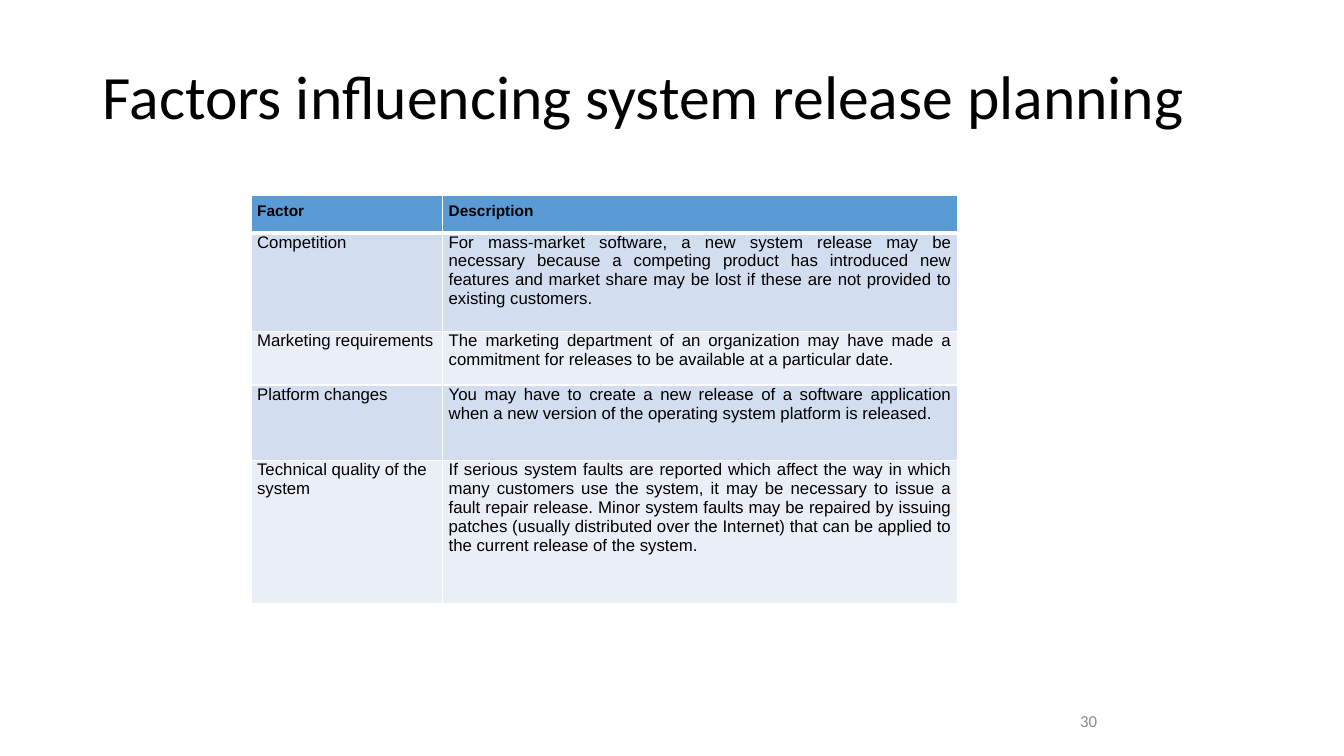
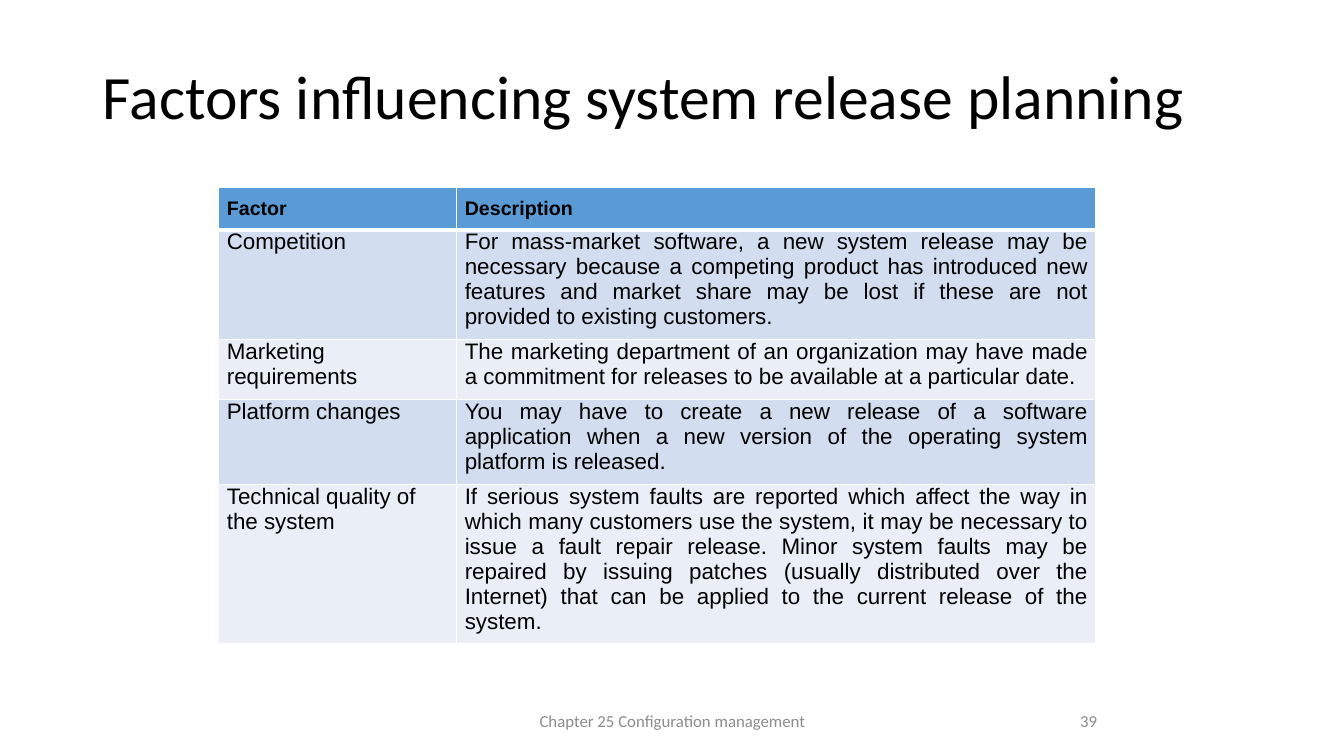
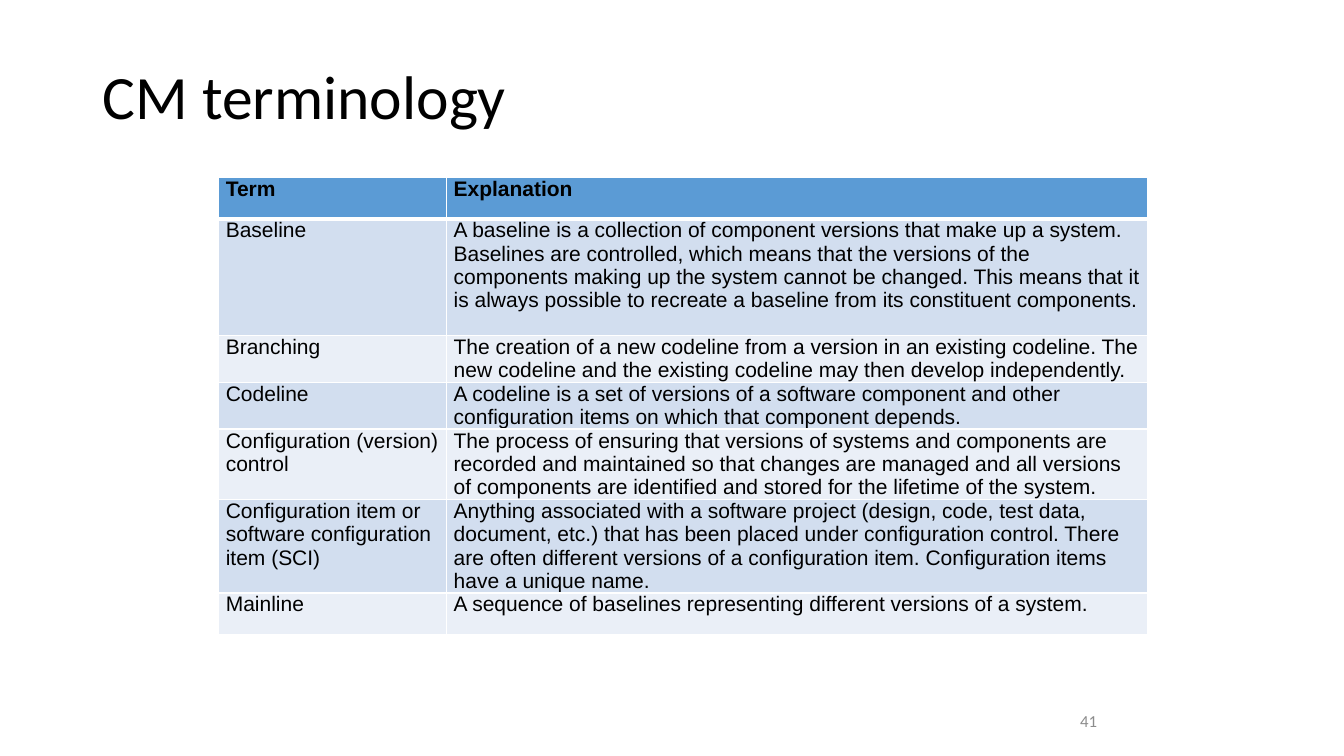
from lxml import etree
from pptx import Presentation
from pptx.dml.color import RGBColor
from pptx.enum.text import MSO_ANCHOR, MSO_AUTO_SIZE, PP_ALIGN
from pptx.oxml.ns import qn
from pptx.util import Inches, Pt

LEFT, RIGHT = PP_ALIGN.LEFT, PP_ALIGN.RIGHT
CENTER, JUSTIFY = PP_ALIGN.CENTER, PP_ALIGN.JUSTIFY
MIDDLE, TOP = MSO_ANCHOR.MIDDLE, MSO_ANCHOR.TOP
NO_FIT = MSO_AUTO_SIZE.NONE

COLORS = {"text": "000000", "foot": "8C8C8C", "rule": "FFFFFF",
          "head": "5B9BD5", "odd": "D2DEEF", "even": "EAEFF7"}
TITLE_BOX = (0.92, 0.4, 11.5, 1.18)
FOOT_BOX = (4.98, 6.95, 3.38, 0.4)
PAGE_BOX = (8.73, 6.95, 2.25, 0.4)

# Content
FACTORS = [
    ("Factor", "Description"),
    ("Competition",
     "For mass-market software, a new system release may be necessary "
     "because a competing product has introduced new features and market "
     "share may be lost if these are not provided to existing customers."),
    ("Marketing requirements",
     "The marketing department of an organization may have made a "
     "commitment for releases to be available at a particular date."),
    ("Platform changes",
     "You may have to create a new release of a software application when "
     "a new version of the operating system platform is released."),
    ("Technical quality of the system",
     "If serious system faults are reported which affect the way in which "
     "many customers use the system, it may be necessary to issue a fault "
     "repair release. Minor system faults may be repaired by issuing "
     "patches (usually distributed over the Internet) that can be applied "
     "to the current release of the system."),
]
TERMS = [
    ("Term", "Explanation"),
    ("Baseline",
     "A baseline is a collection of component versions that make up a "
     "system. Baselines are controlled, which means that the versions of "
     "the components making up the system cannot be changed. This means "
     "that it is always possible to recreate a baseline from its "
     "constituent components."),
    ("Branching",
     "The creation of a new codeline from a version in an existing "
     "codeline. The new codeline and the existing codeline may then "
     "develop independently."),
    ("Codeline",
     "A codeline is a set of versions of a software component and other "
     "configuration items on which that component depends."),
    ("Configuration (version) control",
     "The process of ensuring that versions of systems and components are "
     "recorded and maintained so that changes are managed and all versions "
     "of components are identified and stored for the lifetime of the "
     "system."),
    ("Configuration item or software configuration item (SCI)",
     "Anything associated with a software project (design, code, test "
     "data, document, etc.) that has been placed under configuration "
     "control. There are often different versions of a configuration item. "
     "Configuration items have a unique name."),
    ("Mainline",
     "A sequence of baselines representing different versions of a system."),
]

# pad: side, head top, bottom; sizes: head, body
SLIDES = [
    {"title": "Factors influencing system release planning", "page": "30",
     "foot": None, "rows": FACTORS, "at": (2.49, 1.94), "cols": (1.9, 5.11),
     "heights": (0.37, 0.98, 0.53, 0.75, 1.42), "sizes": (11, 12),
     "pad": (0.06, 0.07, 0.07), "after": 0, "align": JUSTIFY},
    {"title": "Factors influencing system release planning", "page": "39",
     "foot": "Chapter 25 Configuration management", "rows": FACTORS,
     "at": (2.17, 1.86), "cols": (2.36, 6.34),
     "heights": (0.41, 1.08, 0.6, 0.84, 1.57), "sizes": (14, 16),
     "pad": (0.08, 0.1, 0.1), "after": 0, "align": JUSTIFY},
    {"title": "CM terminology", "page": "41", "foot": None, "rows": TERMS,
     "at": (2.17, 1.76), "cols": (2.26, 6.95),
     "heights": (0.41, 1.16, 0.46, 0.46, 0.7, 0.92, 0.41), "sizes": (15, 15),
     "pad": (0.07, 0, 0), "after": 2, "align": LEFT},
]


def style(para, size, face, color, align, bold=False):
    para.alignment = align
    for run in para.runs:
        font = run.font
        font.size, font.name, font.bold = Pt(size), face, bold
        font.color.rgb = RGBColor.from_string(COLORS[color])


def add_title(slide, text):
    title = slide.shapes.title
    title.left, title.top, title.width, title.height = map(Inches, TITLE_BOX)
    frame = title.text_frame
    frame.text = text
    frame.word_wrap, frame.auto_size = True, NO_FIT
    frame.vertical_anchor = MIDDLE
    frame.paragraphs[0].line_spacing = 0.9
    style(frame.paragraphs[0], 44, "Calibri", "text", LEFT)


def add_note(slide, box, text, align):
    frame = slide.shapes.add_textbox(*map(Inches, box)).text_frame
    frame.text = text
    frame.word_wrap = True
    frame.vertical_anchor = MIDDLE
    style(frame.paragraphs[0], 12, "Calibri", "foot", align)


def add_rules(cell, row):
    # White cell borders, thick below the head row
    widths = {"lnL": 1, "lnR": 1, "lnT": 3 if row == 1 else 1,
              "lnB": 3 if row == 0 else 1}
    props = cell._tc.get_or_add_tcPr()
    for tag, width in widths.items():
        line = etree.SubElement(props, qn("a:" + tag), w=str(Pt(width)))
        fill = etree.SubElement(line, qn("a:solidFill"))
        etree.SubElement(fill, qn("a:srgbClr"), val=COLORS["rule"])


def fill_cell(cell, text, row, align, data):
    head = row == 0
    side, top, bottom = data["pad"]
    cell.margin_left = cell.margin_right = Inches(side)
    cell.margin_top = Inches(top if head else 0)
    cell.margin_bottom = Inches(bottom)
    cell.vertical_anchor = TOP
    add_rules(cell, row)
    cell.fill.solid()
    band = "head" if head else "odd" if row % 2 else "even"
    cell.fill.fore_color.rgb = RGBColor.from_string(COLORS[band])
    cell.text_frame.text = text
    para = cell.text_frame.paragraphs[0]
    para.space_after = Pt(data["after"])
    style(para, data["sizes"][0 if head else 1], "Arial", "text", align, head)


def add_grid(slide, data):
    rows, cols, heights = data["rows"], data["cols"], data["heights"]
    box = (*data["at"], sum(cols), sum(heights))
    table = slide.shapes.add_table(len(rows), len(cols),
                                   *map(Inches, box)).table
    for col, width in zip(table.columns, cols):
        col.width = Inches(width)
    for i, (texts, height) in enumerate(zip(rows, heights)):
        table.rows[i].height = Inches(height)
        aligns = (JUSTIFY, JUSTIFY) if i == 0 else (LEFT, data["align"])
        for j, (text, align) in enumerate(zip(texts, aligns)):
            fill_cell(table.cell(i, j), text, i, align, data)


def main():
    deck = Presentation()
    deck.slide_width, deck.slide_height = Inches(13.33), Inches(7.5)
    for data in SLIDES:
        slide = deck.slides.add_slide(deck.slide_layouts[5])
        add_title(slide, data["title"])
        add_grid(slide, data)
        if data["foot"]:
            add_note(slide, FOOT_BOX, data["foot"], CENTER)
        add_note(slide, PAGE_BOX, data["page"], RIGHT)
    deck.save("out.pptx")


if __name__ == "__main__":
    main()
